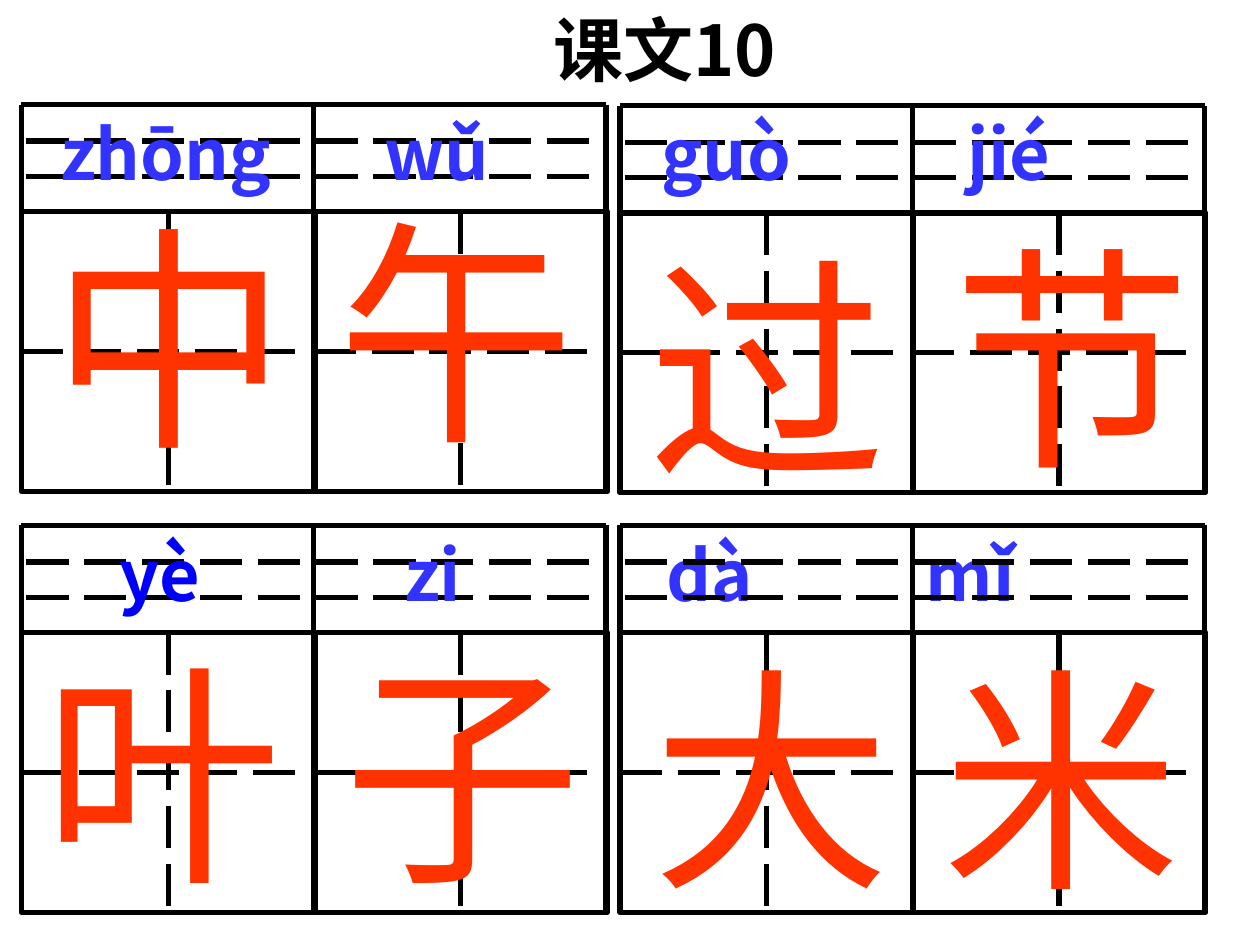
from lxml import etree
from pptx import Presentation
from pptx.dml.color import RGBColor
from pptx.enum.dml import MSO_LINE
from pptx.enum.shapes import MSO_CONNECTOR, MSO_SHAPE
from pptx.enum.text import MSO_ANCHOR, MSO_AUTO_SIZE, PP_ALIGN
from pptx.oxml.ns import qn
from pptx.util import Inches, Pt

BLACK = RGBColor(0x00, 0x00, 0x00)
BLUE = RGBColor(0x00, 0x00, 0xFF)
VIOLET = RGBColor(0x33, 0x33, 0xFF)
RED = RGBColor(0xFF, 0x33, 0x00)
STRAIGHT = MSO_CONNECTOR.STRAIGHT
RECT = MSO_SHAPE.RECTANGLE
LONG_DASH = MSO_LINE.LONG_DASH
TOP = MSO_ANCHOR.TOP
LEFT = PP_ALIGN.LEFT
NO_FIT = MSO_AUTO_SIZE.NONE
NOTO, ARIAL = "Noto Sans CJK SC", "Arial"

# Practice grid: two cells under a ruled pinyin band
PITCH, BAND, CELL_W, CELL_H = 2.32, 0.85, 2.33, 2.22
GUIDES = (0.57, 0.29)
PINYIN_FORMAT = {"size": Pt(40), "bold": True, "name": NOTO}


def add_line(shapes, x1, y1, x2, y2, dashed=False):
    line = shapes.add_connector(STRAIGHT, Inches(x1), Inches(y1), Inches(x2), Inches(y2))
    line.line.color.rgb = BLACK
    line.line.width = Pt(3)
    if dashed:
        line.line.dash_style = LONG_DASH
    etree.SubElement(line._element.spPr, qn("a:effectLst"))
    return line


def add_cell(shapes, x, y):
    """A square with a dashed cross."""
    sp = shapes.add_shape(RECT, Inches(x), Inches(y), Inches(CELL_W), Inches(CELL_H))
    sp.shadow.inherit = False
    sp.fill.background()
    sp.line.color.rgb = BLACK
    sp.line.width = Pt(3)
    mid_x, mid_y = x + CELL_W / 2, y + CELL_H / 2
    vertical = add_line(shapes, mid_x, y, mid_x, y + CELL_H, True)
    vertical.begin_connect(sp, 0)
    vertical.end_connect(sp, 2)
    horizontal = add_line(shapes, x, mid_y, x + 2.28, mid_y, True)
    horizontal.begin_connect(sp, 1)


def add_grid(slide, x, y):
    shapes = slide.shapes.add_group_shape().shapes
    right, bottom = x + 2 * PITCH, y + BAND + CELL_H
    for col in range(2):
        add_cell(shapes, x + col * PITCH, y + BAND)
    add_line(shapes, x, y, right, y)
    for dy in GUIDES:
        add_line(shapes, x + 0.04, y + dy, right, y + dy, True)
    for col in range(3):
        add_line(shapes, x + col * PITCH, y, x + col * PITCH, bottom)


def format_font(r, values):
    for name, value in values.items():
        setattr(r.font, name, value)
    ea = etree.SubElement(r._r.get_or_add_rPr(), qn("a:ea"))
    ea.set("typeface", values["name"])


def add_text_box(slide, x, y, w, h):
    tf = slide.shapes.add_textbox(Inches(x), Inches(y), Inches(w), Inches(h)).text_frame
    tf.word_wrap = True
    return tf.paragraphs[0]


def add_hanzi(slide, char, x, y, font):
    r = add_text_box(slide, x, y, 2.28, 2.37).add_run()
    r.text = char
    format_font(r, {"size": Pt(136), "name": font})
    r.font.color.rgb = RED


def add_pinyin(slide, x, y, w, syllables):
    """One line of syllables, each (text, tab stop, colour)."""
    p = add_text_box(slide, x, y, w, 0.77)
    tabs = etree.SubElement(p._p.get_or_add_pPr(), qn("a:tabLst"))
    for text, stop, color in syllables:
        tab = etree.SubElement(tabs, qn("a:tab"))
        tab.set("pos", str(Inches(stop)))
        tab.set("algn", "l")
        r = p.add_run()
        r.text = "\t" + text
        format_font(r, PINYIN_FORMAT)
        r.font.color.rgb = color


def add_title(slide, text, x, y, w, h):
    title = slide.shapes.title
    title.left, title.top, title.width, title.height = map(Inches, (x, y, w, h))
    tf = title.text_frame
    tf.vertical_anchor = TOP
    tf.auto_size = NO_FIT
    p = tf.paragraphs[0]
    p.alignment = LEFT
    r = p.add_run()
    r.text = text
    format_font(r, {"size": Pt(40), "bold": True, "name": NOTO})
    r.font.color.rgb = BLACK


def main():
    prs = Presentation()
    prs.slide_width, prs.slide_height = Inches(10), Inches(7.5)
    slide = prs.slides.add_slide(prs.slide_layouts[5])
    add_title(slide, "课文10", 4.29, 0, 2.52, 0.77)

    # Upper row
    add_grid(slide, 0.17, 0.83)
    add_grid(slide, 4.92, 0.84)
    for char, x, y, font in (("午", 2.58, 1.42, NOTO), ("中", 0.3, 1.47, NOTO),
                             ("过", 5.05, 1.72, ARIAL), ("节", 7.47, 1.63, ARIAL)):
        add_hanzi(slide, char, x, y, font)
    add_pinyin(slide, 0, 0.83, 9.96, (("zhōng", 0.38, VIOLET), ("wǔ", 2.95, VIOLET),
                                      ("guò", 5.15, VIOLET), ("jié", 7.58, VIOLET)))

    # Lower row, with the last grid ruled over its pinyin
    add_grid(slide, 0.17, 4.17)
    add_pinyin(slide, -0.17, 4.17, 9.58, (("yè", 1.02, BLUE), ("zi", 3.28, VIOLET),
                                          ("dà", 5.36, VIOLET), ("mǐ", 7.42, VIOLET)))
    add_hanzi(slide, "子", 2.63, 4.92, ARIAL)
    add_hanzi(slide, "叶", 0.25, 4.92, ARIAL)
    add_grid(slide, 4.92, 4.17)
    add_hanzi(slide, "大", 5.08, 4.97, ARIAL)
    add_hanzi(slide, "米", 7.38, 4.97, ARIAL)

    prs.save("out.pptx")


if __name__ == "__main__":
    main()
